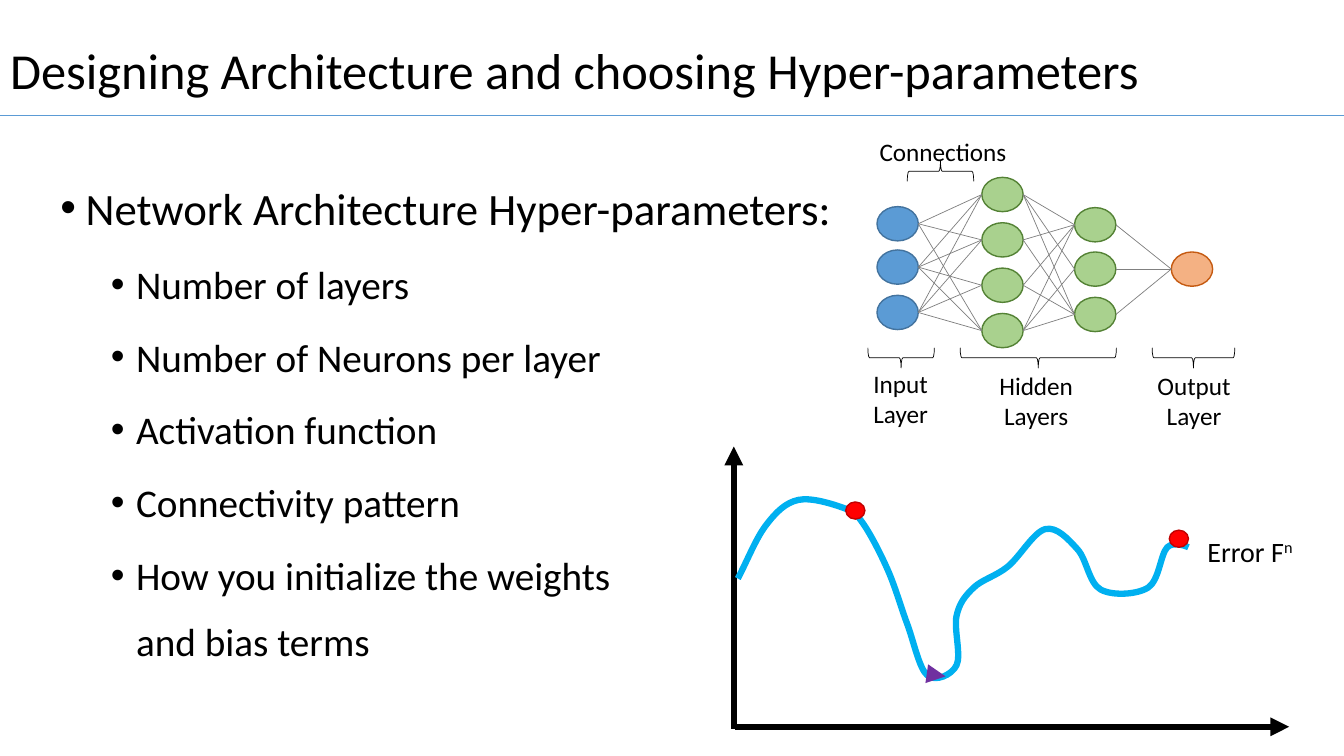
from itertools import product

from lxml.etree import SubElement
from pptx import Presentation
from pptx.dml.color import RGBColor
from pptx.enum.shapes import MSO_CONNECTOR as Connector, MSO_SHAPE as Shape
from pptx.enum.text import MSO_ANCHOR as Anchor, MSO_AUTO_SIZE as AutoSize, PP_ALIGN as Align
from pptx.oxml.ns import qn
from pptx.util import Inches, Pt

COLORS = {
    "text": "000000", "rule": "5B9BD5", "link": "808080", "curve": "00B0F0",
    "input": "5B9BD5", "input_edge": "43739E",
    "hidden": "A9D18E", "hidden_edge": "548235",
    "output": "F4B183", "output_edge": "C55A11",
    "marker": "FF0000", "marker_edge": "C00000", "step": "7030A0",
}
FONT = "Calibri"
COLUMNS, ROWS = 133.33, 75  # square grid cells, 0.1 inch each
NODE_WIDTH, NODE_HEIGHT = 4.1, 3.4


def cells(count):
    return Inches(count / 10)


class SlideBuilder:
    def __init__(self, presentation):
        self.slide = presentation.slides.add_slide(presentation.slide_layouts[1])

    def color(self, name):
        return RGBColor.from_string(COLORS[name])

    def style_runs(self, paragraph, size):
        for run in paragraph.runs:
            run.font.name = FONT
            run.font.size = Pt(size)
            run.font.color.rgb = self.color("text")

    def stroke(self, shape, color, width):
        shape.line.color.rgb = self.color(color)
        shape.line.width = Pt(width)

    def place(self, shape, left, top, width, height):
        shape.left, shape.top = cells(left), cells(top)
        shape.width, shape.height = cells(width), cells(height)
        shape.text_frame.auto_size = AutoSize.NONE

    def title(self, text, box, size):
        shape = self.slide.shapes.title
        self.place(shape, *box)
        shape.text_frame.text = text
        shape.text_frame.vertical_anchor = Anchor.MIDDLE
        paragraph = shape.text_frame.paragraphs[0]
        paragraph.alignment = Align.LEFT
        paragraph.line_spacing = 0.9
        self.style_runs(paragraph, size)

    def bullets(self, items, box):
        shape = self.slide.placeholders[1]
        self.place(shape, *box)
        frame = shape.text_frame
        for index, (level, text) in enumerate(items):
            paragraph = frame.add_paragraph() if index else frame.paragraphs[0]
            paragraph.text = text
            paragraph.level = level
            paragraph.line_spacing = 1.4 if level > 1 else 1.6
            paragraph.space_before = Pt(5)
            properties = paragraph._p.get_or_add_pPr()
            properties.set("marL", str(cells(2.5 + 5 * level)))
            properties.set("indent", str(cells(-2.5)))
            SubElement(properties, qn("a:buFont")).set("typeface", "Arial")
            SubElement(properties, qn("a:buChar")).set("char", "•")
            self.style_runs(paragraph, 28 if level > 1 else 32)

    def label(self, text, box, size=18, superscript=None):
        shape = self.slide.shapes.add_textbox(*map(cells, box))
        shape.text_frame.word_wrap = True
        shape.text_frame.text = text
        paragraph = shape.text_frame.paragraphs[0]
        if superscript:
            run = paragraph.add_run()
            run.text = superscript
            run.font._element.set("baseline", "30000")
        else:
            paragraph.alignment = Align.CENTER
        self.style_runs(paragraph, size)

    def line(self, start, end, color, width=0.5, arrow=False):
        connector = self.slide.shapes.add_connector(
            Connector.STRAIGHT, *map(cells, (*start, *end)))
        self.stroke(connector, color, width)
        if arrow:
            SubElement(connector.line._get_or_add_ln(), qn("a:tailEnd")).set("type", "triangle")
        SubElement(connector._element.spPr, qn("a:effectLst"))

    def ellipse(self, center, width, height, kind):
        x, y = center
        shape = self.slide.shapes.add_shape(
            Shape.OVAL, *map(cells, (x - width / 2, y - height / 2, width, height)))
        shape.shadow.inherit = False
        shape.fill.solid()
        shape.fill.fore_color.rgb = self.color(kind)
        self.stroke(shape, kind + "_edge", 1)

    def brace(self, center, span, rotation):
        x, y = center
        shape = self.slide.shapes.add_shape(
            Shape.LEFT_BRACE, *map(cells, (x - 1, y - span / 2, 2, span)))
        shape.rotation = rotation
        shape.shadow.inherit = False
        shape.fill.background()
        self.stroke(shape, "text", 0.5)

    def curve(self, knots, color, width):
        first, *rest = [(cells(x), cells(y)) for x, y in knots]
        builder = self.slide.shapes.build_freeform(*first)
        builder.add_line_segments(rest, close=False)
        shape = builder.convert_to_shape()
        self.smooth(shape)
        shape.shadow.inherit = False
        shape.fill.background()
        self.stroke(shape, color, width)

    def smooth(self, shape):
        """Turn each straight segment into a Bezier with Catmull-Rom controls."""
        points = [(int(point.get("x")), int(point.get("y")))
                  for point in shape._element.iter(qn("a:pt"))]
        before = tuple(2 * a - b for a, b in zip(points[0], points[1]))
        padded = [before, *points, points[-2]]
        segments = list(shape._element.iter(qn("a:lnTo")))
        for segment, p, q, r, s in zip(segments, padded, padded[1:], padded[2:], padded[3:]):
            leave = [b + (c - a) / 6 for a, b, c in zip(p, q, r)]
            arrive = [b - (c - a) / 6 for a, b, c in zip(q, r, s)]
            segment.tag = qn("a:cubicBezTo")
            for index, (x, y) in enumerate((leave, arrive)):
                control = SubElement(segment, qn("a:pt"))
                control.set("x", str(round(x)))
                control.set("y", str(round(y)))
                segment.insert(index, control)


def draw_network(builder):
    # Layers of neurons: kind, centre column, centre rows
    layers = [
        ("input", 89.05, [22.2, 26.5, 31]),
        ("hidden", 99.45, [19.3 + 4.5 * row for row in range(4)]),
        ("hidden", 108.65, [22.3, 26.7, 31.2]),
        ("output", 118.25, [26.7]),
    ]
    for kind, x, rows in layers:
        for y in rows:
            builder.ellipse((x, y), NODE_WIDTH, NODE_HEIGHT, kind)

    # Connections: layer, source neuron and target neuron left unlinked
    unlinked = {(0, 0, 2), (1, 1, 1), (1, 2, 1)}
    for index, ((_, x1, sources), (_, x2, targets)) in enumerate(zip(layers, layers[1:])):
        for (i, y1), (j, y2) in product(enumerate(sources), enumerate(targets)):
            if (index, i, j) not in unlinked:
                builder.line((x1 + NODE_WIDTH / 2, y1), (x2 - NODE_WIDTH / 2, y2), "link")

    # Braces and captions
    for text, box, center, span, rotation in [
        ("Input Layer", (83.3, 36, 12.1, 2.8), (89.4, 35.5), 6.6, 270),
        ("Hidden Layers", (95.1, 36.2, 15.4, 2.8), (103, 35.5), 15.5, 270),
        ("Output Layer", (112.4, 36.2, 12.1, 2.8), (118.4, 35.5), 8.2, 270),
        ("Connections", (86.2, 13, 14.7, 2.8), (93.3, 17), 6.6, 90),
    ]:
        builder.label(text, box)
        builder.brace(center, span, rotation)


def draw_error_chart(builder):
    # Axes
    builder.line((72.8, 72.3), (72.8, 44.3), "text", 4.5, arrow=True)
    builder.line((72.9, 72.1), (127.9, 72.1), "text", 4.5, arrow=True)

    # Error curve
    builder.curve([
        (73.2, 57.4), (76, 52.1), (79.2, 49.6), (83.7, 50.4), (85.6, 51.9), (88.1, 56.6),
        (90, 61.9), (92, 67), (94.9, 66), (94.9, 61.1), (96.6, 58.3), (100, 56.2),
        (103.7, 52.5), (106.9, 54.5), (109.2, 58.5), (113.9, 58.3), (115.8, 54.3),
        (117.9, 54.3),
    ], "curve", 4.5)
    builder.label("Error F", (118.8, 52.5, 11.3, 4.4), 20, superscript="n")

    # Starting points and descent arrow
    for center in [(84.85, 50.65), (116.95, 53.45)]:
        builder.ellipse(center, 1.9, 1.7, "marker")
    builder.line((93.1, 67), (93.8, 67.1), "step", 4.5, arrow=True)


def main():
    presentation = Presentation()
    presentation.slide_width, presentation.slide_height = cells(COLUMNS), cells(ROWS)
    builder = SlideBuilder(presentation)

    # Title, list and rule
    builder.title("Designing Architecture and choosing Hyper-parameters", (0, 0, 115, 14.5), 36)
    builder.bullets([
        (1, "Network Architecture Hyper-parameters:"),
        (2, "Number of layers"),
        (2, "Number of Neurons per layer"),
        (2, "Activation function"),
        (2, "Connectivity pattern"),
        (2, "How you initialize the weights\vand bias terms"),
    ], (0, 14.2, 99.1, 59.3))
    builder.line((0, 11.4), (COLUMNS, 11.4), "rule")

    draw_network(builder)
    draw_error_chart(builder)
    presentation.save("out.pptx")


if __name__ == "__main__":
    main()
